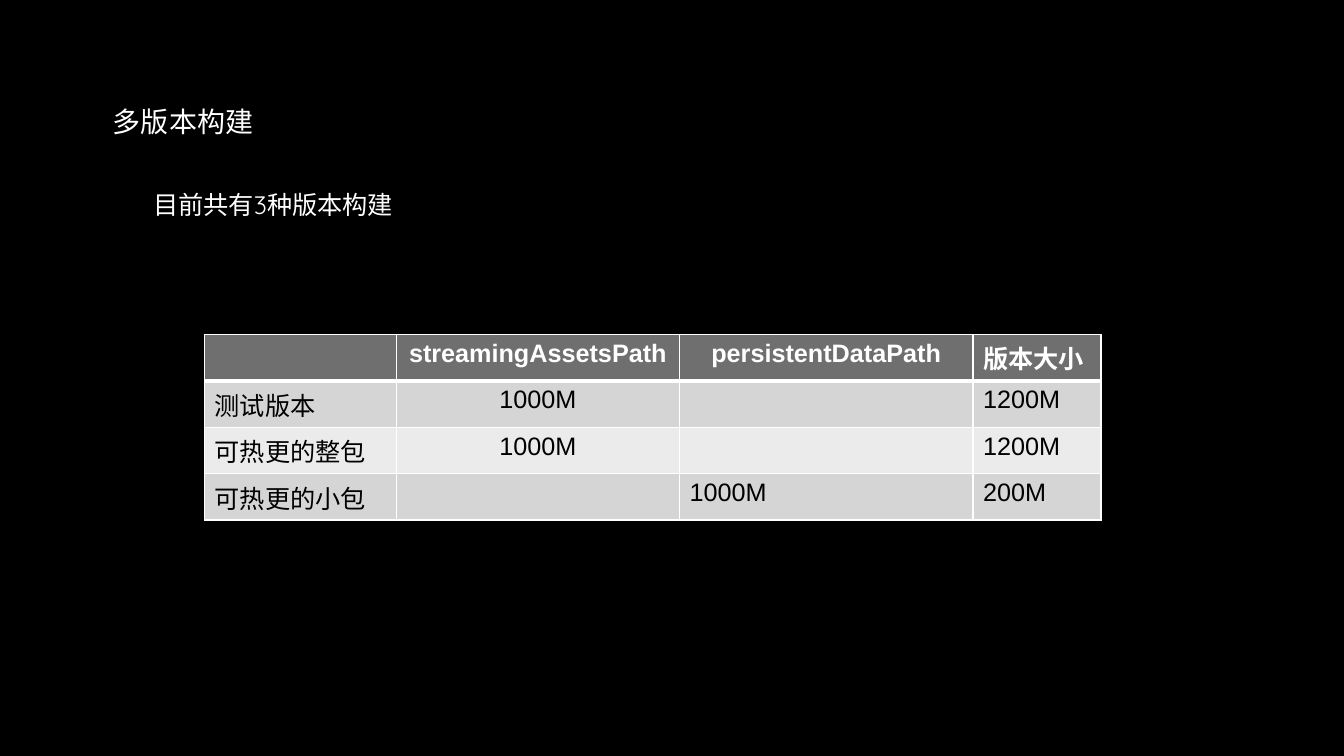
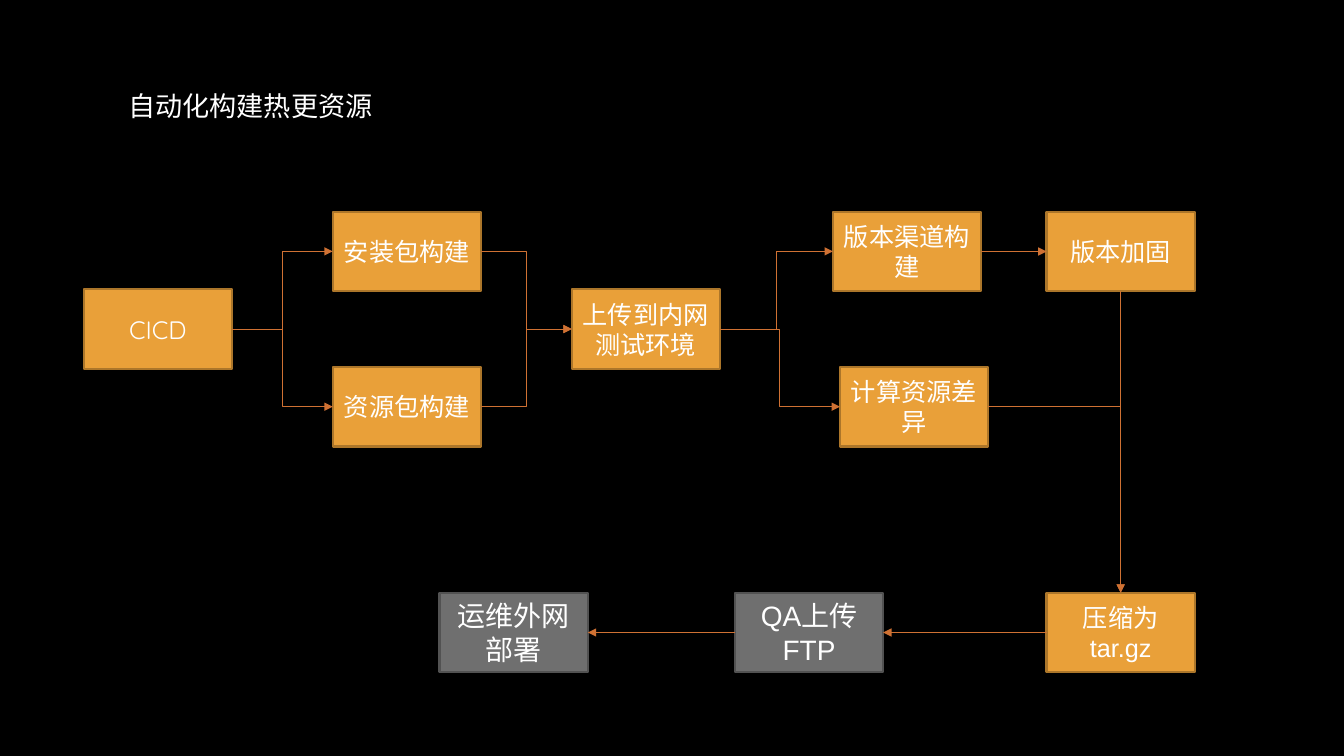
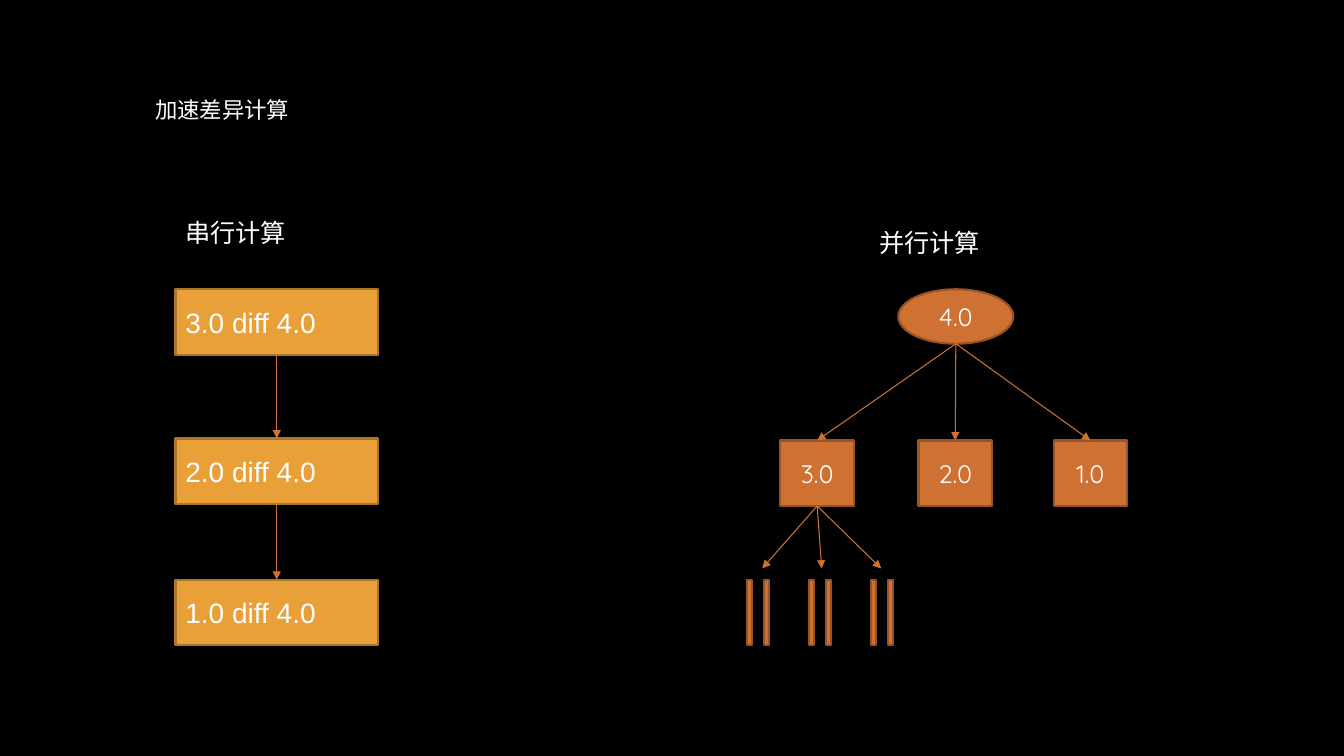
from lxml import etree
from pptx import Presentation
from pptx.dml.color import RGBColor
from pptx.enum.shapes import MSO_CONNECTOR, MSO_SHAPE
from pptx.enum.text import MSO_ANCHOR, MSO_AUTO_SIZE, PP_ALIGN
from pptx.oxml.ns import qn
from pptx.util import Inches, Pt

RECTANGLE, OVAL = MSO_SHAPE.RECTANGLE, MSO_SHAPE.OVAL
STRAIGHT, ELBOW = MSO_CONNECTOR.STRAIGHT, MSO_CONNECTOR.ELBOW
LEFT, CENTER = PP_ALIGN.LEFT, PP_ALIGN.CENTER
TOP, MIDDLE = MSO_ANCHOR.TOP, MSO_ANCHOR.MIDDLE
TOP_SIDE, LEFT_SIDE, BOTTOM_SIDE, RIGHT_SIDE = range(4)
CORNER = "bentConnector2"

BLACK, WHITE = "000000", "FFFFFF"
AMBER = ("E9A039", "AC762A")
GRAY = ("6F6F6F", "525252")
RUST = ("CF7133", "995426")
HAN, LATIN, ROUND = "Noto Sans CJK SC", "Arial", "Quicksand"
hex_color = RGBColor.from_string


def write(frame, text, size, font, align=CENTER, color=WHITE, bold=False):
    frame.text = text
    para = frame.paragraphs[0]
    para.alignment = align
    for span in para.runs:
        span.font.size = Pt(size)
        span.font.bold = bold
        span.font.name = font
        span.font.color.rgb = hex_color(color)
        etree.SubElement(span.font._element, qn("a:ea")).set("typeface", HAN)


def add_box(page, place, colors, text="", size=18, font=ROUND, align=CENTER, kind=RECTANGLE):
    box = page.shapes.add_shape(kind, *map(Inches, place))
    box.shadow.inherit = False
    box.fill.solid()
    box.fill.fore_color.rgb = hex_color(colors[0])
    box.line.color.rgb = hex_color(colors[1])
    box.line.width = Pt(1.5)
    box.text_frame.vertical_anchor = MIDDLE
    if text:
        write(box.text_frame, text, size, font, align)
    return box


deck = Presentation()
deck.slide_width, deck.slide_height = Inches(13.33), Inches(7.5)
deck.slide_master.background.fill.solid()
deck.slide_master.background.fill.fore_color.rgb = hex_color(BLACK)

pages = []
for heading, left, middle, size in [
    ("多版本构建", 1.02, 1.2, 20),
    ("自动化构建热更资源", 1.17, 1.05, 19.4),
    ("加速差异计算", 1.44, 1.09, 16),
]:
    page = deck.slides.add_slide(deck.slide_layouts[5])
    title = page.shapes.title
    title.left, title.top = Inches(left), Inches(middle - 0.25)
    title.width, title.height = Inches(5.22), Inches(0.5)
    title.text_frame.auto_size = MSO_AUTO_SIZE.NONE
    title.text_frame.vertical_anchor = MIDDLE
    write(title.text_frame, heading, size, HAN, LEFT)
    pages.append(page)
versions, pipeline, speedup = pages

for page, text, left, top, width in [
    (versions, "目前共有3种版本构建", 1.42, 1.83, 2.61),
    (speedup, "串行计算", 1.74, 2.11, 1.5),
    (speedup, "并行计算", 8.62, 2.21, 1.5),
]:
    label = page.shapes.add_textbox(Inches(left), Inches(top), Inches(width), Inches(0.4))
    label.text_frame.word_wrap = True
    write(label.text_frame, text, 18, ROUND, LEFT)

rows = [
    ["", "streamingAssetsPath", "persistentDataPath", "版本大小"],
    ["测试版本", "1000M", "", "1200M"],
    ["可热更的整包", "1000M", "", "1200M"],
    ["可热更的小包", "", "1000M", "200M"],
]
widths = [1.9, 2.81, 2.91, 1.27]
fills = [GRAY[0], "D5D5D5", "EBEBEB", "D5D5D5"]
table = versions.shapes.add_table(
    len(rows), len(widths), Inches(2.03), Inches(3.32), Inches(sum(widths)), Inches(1.84)
).table
for column, width in zip(table.columns, widths):
    column.width = Inches(width)
for row, texts in enumerate(rows):
    for column, text in enumerate(texts):
        cell = table.cell(row, column)
        header = row == 0
        centered = column == 1 or (header and column == 2)
        cell.vertical_anchor = TOP
        write(cell.text_frame, text, 18, LATIN, CENTER if centered else LEFT,
              WHITE if header else BLACK, header)
        for side in "LRTB":
            thick = (row, side) in [(0, "B"), (1, "T")]
            border = etree.SubElement(cell._tc.get_or_add_tcPr(), qn(f"a:ln{side}"))
            border.set("w", str(Pt(3 if thick else 1)))
            paint = etree.SubElement(border, qn("a:solidFill"))
            etree.SubElement(paint, qn("a:srgbClr")).set("val", WHITE)
        cell.fill.solid()
        cell.fill.fore_color.rgb = hex_color(fills[row])

upper, center, lower, bottom = 2.1, 2.87, 3.64, 5.88
steps = {}
for name, text, left, top, colors, size, font in [
    ("start", "CICD", 0.83, center, AMBER, 18, ROUND),
    ("installer", "安装包构建", 3.3, upper, AMBER, 18, ROUND),
    ("assets", "资源包构建", 3.3, lower, AMBER, 18, ROUND),
    ("upload", "上传到内网测试环境", 5.67, center, AMBER, 18, ROUND),
    ("difference", "计算资源差异", 8.33, lower, AMBER, 18, ROUND),
    ("channel", "版本渠道构建", 8.26, upper, AMBER, 18, ROUND),
    ("hardening", "版本加固", 10.38, upper, AMBER, 18, ROUND),
    ("archive", "压缩为tar.gz", 10.38, bottom, AMBER, 18, LATIN),
    ("testing", "QA上传FTP", 7.29, bottom, GRAY, 20, LATIN),
    ("release", "运维外网部署", 4.36, bottom, GRAY, 20, LATIN),
]:
    steps[name] = add_box(pipeline, (left, top, 1.47, 0.79), colors, text, size, font)

arrows = []
for kind, source, source_side, target, target_side in [
    (ELBOW, "start", RIGHT_SIDE, "installer", LEFT_SIDE),
    (ELBOW, "start", RIGHT_SIDE, "assets", LEFT_SIDE),
    (ELBOW, "installer", RIGHT_SIDE, "upload", LEFT_SIDE),
    (ELBOW, "assets", RIGHT_SIDE, "upload", LEFT_SIDE),
    (ELBOW, "upload", RIGHT_SIDE, "difference", LEFT_SIDE),
    (ELBOW, "upload", RIGHT_SIDE, "channel", LEFT_SIDE),
    (STRAIGHT, "channel", RIGHT_SIDE, "hardening", LEFT_SIDE),
    (CORNER, "difference", RIGHT_SIDE, "archive", TOP_SIDE),
    (STRAIGHT, "hardening", BOTTOM_SIDE, "archive", TOP_SIDE),
    (STRAIGHT, "archive", LEFT_SIDE, "testing", RIGHT_SIDE),
    (STRAIGHT, "testing", LEFT_SIDE, "release", RIGHT_SIDE),
]:
    arrows.append((pipeline, kind, (steps[source], source_side), (steps[target], target_side)))

levels = [2.87, 4.35, 5.75]
serial = [
    add_box(speedup, (1.74, top, 2.01, 0.65), AMBER, text, 20, LATIN, LEFT)
    for top, text in zip(levels, ["3.0 diff 4.0", "2.0 diff 4.0", "1.0 diff 4.0"])
]
for above, below in zip(serial, serial[1:]):
    arrows.append((speedup, STRAIGHT, (above, BOTTOM_SIDE), (below, TOP_SIDE)))

add_box(speedup, (8.91, levels[0], 1.14, 0.54), RUST, "4.0", kind=OVAL)
branches = [
    add_box(speedup, (left, 4.37, 0.73, 0.65), RUST, text)
    for left, text in [(7.74, "3.0"), (9.11, "2.0"), (10.45, "1.0")]
]
for branch in branches:
    arrows.append((speedup, STRAIGHT, (9.48, 3.41), (branch, TOP_SIDE)))
for pair in range(3):
    for bar in range(2):
        add_box(speedup, (7.41 + 0.615 * pair + 0.17 * bar, levels[2], 0.05, 0.65), RUST)
    arrows.append((speedup, STRAIGHT, (branches[0], BOTTOM_SIDE), (7.56 + 0.59 * pair, 5.64)))

for page, kind, start, end in arrows:
    arrow = page.shapes.add_connector(STRAIGHT if kind == STRAIGHT else ELBOW, 0, 0, 0, 0)
    if isinstance(start[0], float):
        arrow.begin_x, arrow.begin_y = map(Inches, start)
    else:
        arrow.begin_connect(*start)
    if isinstance(end[0], float):
        arrow.end_x, arrow.end_y = map(Inches, end)
    else:
        arrow.end_connect(*end)
    arrow.line.color.rgb = hex_color(RUST[0])
    arrow.line.width = Pt(0.75)
    properties = arrow._element.spPr
    if kind == CORNER:
        properties.find(qn("a:prstGeom")).set("prst", CORNER)
    etree.SubElement(properties.find(qn("a:ln")), qn("a:tailEnd")).set("type", "triangle")
    etree.SubElement(properties, qn("a:effectLst"))

deck.save("out.pptx")
